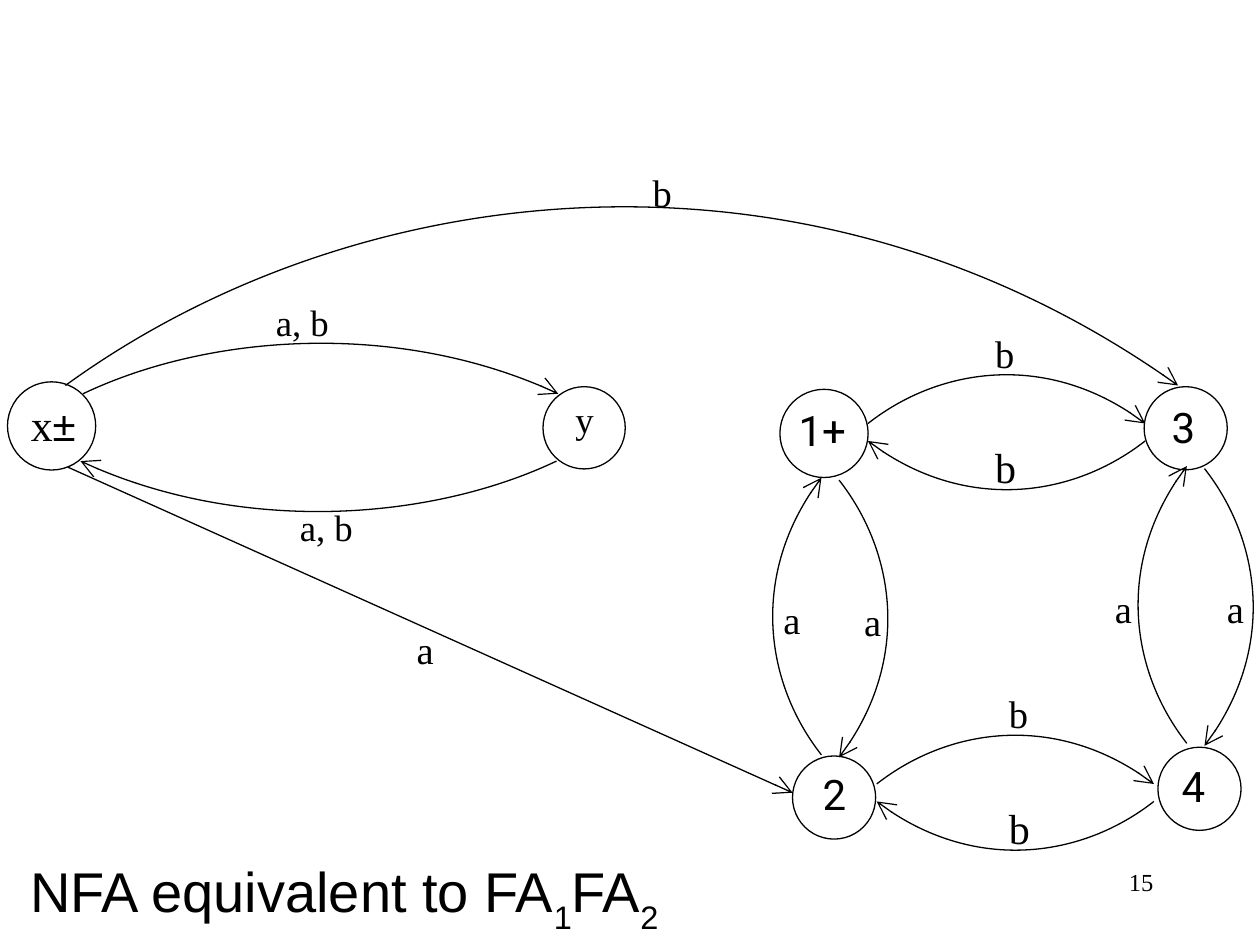
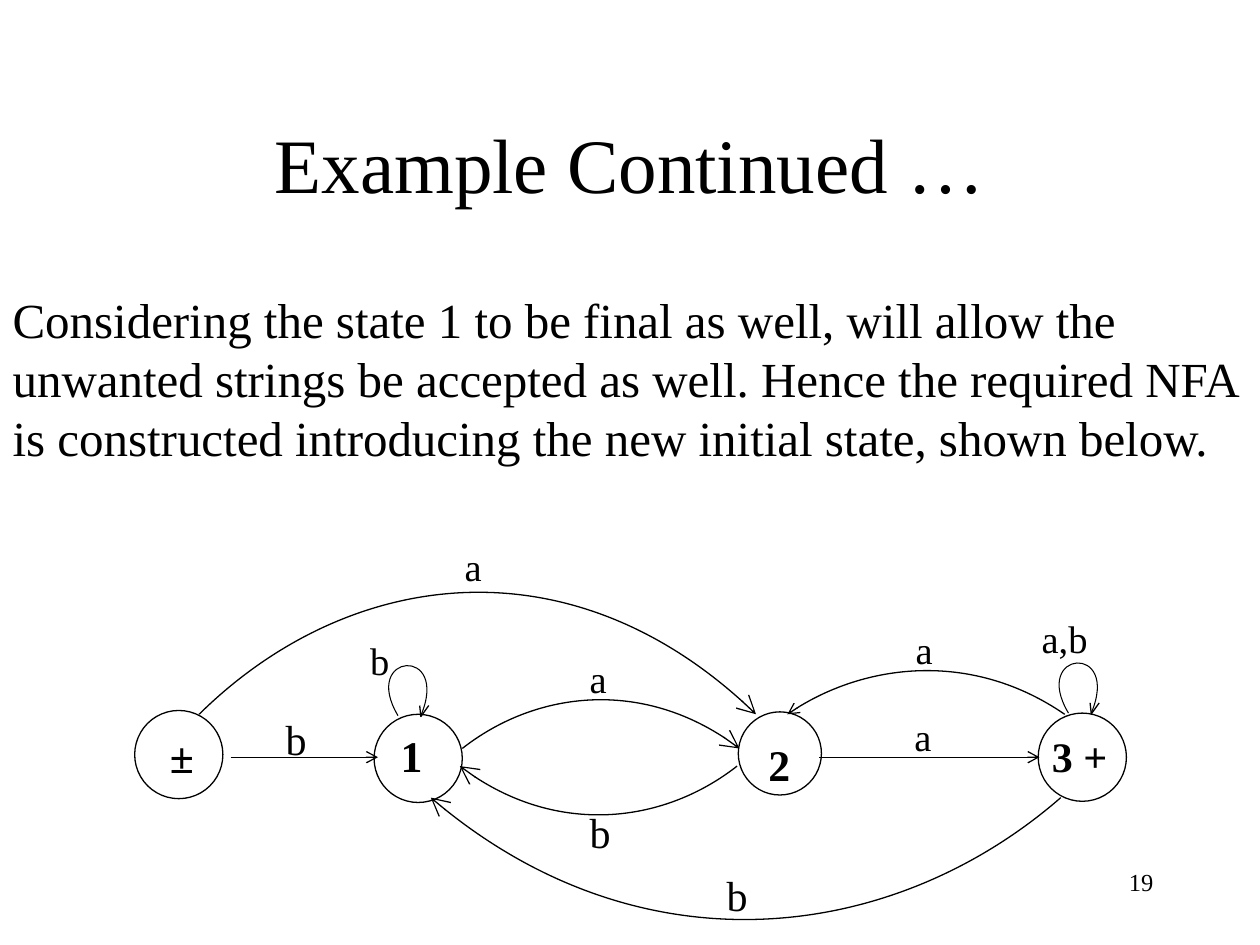
from dataclasses import dataclass
from math import hypot

from lxml.etree import SubElement
from pptx import Presentation
from pptx.dml.color import RGBColor
from pptx.enum.shapes import MSO_CONNECTOR, MSO_SHAPE
from pptx.enum.text import MSO_ANCHOR, MSO_AUTO_SIZE, PP_ALIGN
from pptx.oxml.ns import qn
from pptx.util import Pt


@dataclass(frozen=True)
class Theme:
    ink: RGBColor = RGBColor(0, 0, 0)
    paper: RGBColor = RGBColor(255, 255, 255)
    serif: str = "Times New Roman"
    sans: str = "Arial"
    state_sans: str = "Roboto"
    title: int = 44
    caption: int = 32
    body: int = 28
    state: int = 25
    state_small: int = 24
    label_large: int = 24
    label: int = 22
    label_small: int = 21
    number: int = 14
    stroke: float = 0.75
    thin: float = 0.6


THEME = Theme()
EDGE_BULGE = 40.3   # height of the arcs between neighbouring states
EDGE = 158.4        # their length


def add_span(para, text, *, size, font=THEME.serif, bold=False, baseline=None):
    """Add text to a paragraph with its format."""
    span = para.add_run()
    span.text = text
    span.font.size = Pt(size)
    span.font.name = font
    span.font.bold = bold
    span.font.color.rgb = THEME.ink
    if baseline is not None:
        span._r.get_or_add_rPr().set("baseline", str(baseline * 1000))


class Diagram:
    """Holds the theme and the current page; draws each kind of element."""

    def __init__(self, deck, theme):
        self.deck, self.theme, self.page = deck, theme, None

    def new_page(self, layout_name, number):
        layout = self.deck.slide_layouts.get_by_name(layout_name)
        self.page = self.deck.slides.add_slide(layout)
        self.text(516.2, 491.8, 150, 36, str(number), size=self.theme.number,
                  align=PP_ALIGN.RIGHT)

    # Text
    def text(self, left, top, width, height, text, align=PP_ALIGN.LEFT, **style):
        box = self.page.shapes.add_textbox(Pt(left), Pt(top), Pt(width), Pt(height))
        box.text_frame.word_wrap = True
        para = box.text_frame.paragraphs[0]
        para.alignment = align
        add_span(para, text, **style)

    def placeholder(self, index, left, top, width, height, spans,
                    align=PP_ALIGN.LEFT, anchor=MSO_ANCHOR.TOP, before=0):
        box = self.page.placeholders[index]
        box.left, box.top, box.width, box.height = map(Pt, (left, top, width, height))
        frame = box.text_frame
        frame.auto_size = MSO_AUTO_SIZE.NONE
        frame.word_wrap = True
        frame.vertical_anchor = anchor
        para = frame.paragraphs[0]
        para.alignment = align
        para.space_before = Pt(before)
        properties = para._p.get_or_add_pPr()
        properties.set("marL", "0")
        properties.set("indent", "0")
        SubElement(properties, qn("a:buNone"))
        for text, style in spans:
            add_span(para, text, **style)

    def label(self, left, top, text, size=None):
        width, height = (30, 29) if len(text) == 1 else (70, 48)
        self.text(left, top, width, height, text, size=size or self.theme.label)

    # States
    def state(self, left, top, diameter, label_left=None, label_top=None,
              text=None, **style):
        circle = self.page.shapes.add_shape(
            MSO_SHAPE.OVAL, Pt(left), Pt(top), Pt(diameter), Pt(diameter))
        circle.shadow.inherit = False
        circle.fill.solid()
        circle.fill.fore_color.rgb = self.theme.paper
        self.outline(circle)
        if text:
            self.text(label_left, label_top, 56, 32, text, **style)

    # Lines and arrows
    def outline(self, shape, width=None, end=None, head_size="lg"):
        shape.line.color.rgb = self.theme.ink
        shape.line.width = Pt(width or self.theme.stroke)
        if end:
            line = shape._element.spPr.find(qn("a:ln"))
            SubElement(line, qn(f"a:{end}End"), type="arrow", w=head_size, len=head_size)

    def arrow(self, start, end, head_size="lg"):
        line = self.page.shapes.add_connector(
            MSO_CONNECTOR.STRAIGHT, *map(Pt, start + end))
        self.outline(line, end="tail", head_size=head_size)
        SubElement(line._element.spPr, qn("a:effectLst"))

    def polyline(self, points):
        (x, y), *others = [(Pt(x), Pt(y)) for x, y in points]
        builder = self.page.shapes.build_freeform(x, y, scale=1.0)
        builder.add_line_segments(others, close=False)
        shape = builder.convert_to_shape()
        shape.shadow.inherit = False
        shape.fill.background()
        return shape

    def curve(self, points):
        """Cubic curve through start, two control points and end."""
        shape = self.polyline(points)
        outline = shape._element.find(".//" + qn("a:path"))
        segments = outline.findall(qn("a:lnTo"))
        bezier = SubElement(outline, qn("a:cubicBezTo"))
        for segment in segments:
            bezier.append(segment[0])
            outline.remove(segment)
        return shape

    def arc(self, start, end, bulge=EDGE_BULGE, arrow_end="tail", head_size="lg"):
        """Arc that bulges to the left of its direction."""
        (x, y), dx, dy = start, end[0] - start[0], end[1] - start[1]
        length = hypot(dx, dy)

        def control(along, height):
            return (x + along * dx + height * dy / length,
                    y + along * dy - height * dx / length)

        shape = self.curve([start, control(0.26, 0.8 * bulge),
                            control(0.67, bulge), end])
        self.outline(shape, end=arrow_end, head_size=head_size)

    def self_loop(self, x, y):
        loop = self.curve([(x, y), (x - 21.6, y - 36), (x + 30, y - 40.3), (x + 13, y)])
        self.outline(loop, self.theme.thin)
        tip = x + 13
        barbs = self.polyline([(tip - 0.7, y - 5.8), (tip, y + 0.5), (tip + 4.5, y - 5.8)])
        self.outline(barbs)


def draw_product_nfa(diagram):
    theme = diagram.theme
    diagram.new_page("Title Only", 15)
    caption = dict(size=theme.caption, font=theme.sans)
    subscript = dict(caption, baseline=-30)
    diagram.placeholder(0, 10, 486, 666, 42, [
        ("NFA equivalent to FA", caption), ("1", subscript),
        ("FA", caption), ("2", subscript)])

    # States
    diagram.state(4.3, 218.2, 50.4)
    box = diagram.page.shapes.add_textbox(Pt(10.5), Pt(224), Pt(60), Pt(36))
    box.text_frame.word_wrap = True
    para = box.text_frame.paragraphs[0]
    add_span(para, "x", size=theme.state)
    add_span(para, "±", size=theme.state_small, font=theme.sans)
    diagram.state(310.3, 221, 47, 321.8, 223, "y", size=theme.label_small)
    for state in [(445.7, 222.5, 50.4, 449.3, 227.5, "1+"),
                  (653.8, 221, 47.5, 662.4, 226, "3"),
                  (452.9, 432, 47.5, 463, 435.6, "2"),
                  (661.7, 427, 47.5, 668.2, 431.3, "4")]:
        diagram.state(*state, size=theme.state_small, font=theme.state_sans)

    # Transitions inside the first automaton, and into the second
    diagram.arc((47.5, 225), (319, 225), 42)
    diagram.arc((318, 263.5), (46, 263.5), 42)
    diagram.arc((37.4, 220.3), (673.2, 220.3), 150)
    diagram.arrow((38.9, 267), (452.9, 453))

    # Paired transitions of the second automaton
    for x, y in [(496, 242), (501, 448)]:
        diagram.arc((x, y), (x + EDGE, y))
        diagram.arc((x + EDGE, y + 10), (x, y + 10))
    for x, y in [(469.4, 273), (678.2, 266.4)]:
        diagram.arc((x, y + EDGE), (x, y))
        diagram.arc((x + 10.1, y + 1.4), (x + 10.1, y + 1.4 + EDGE))

    # Transition labels
    for left, top in [(150.5, 167.8), (164.2, 285)]:
        diagram.label(left, top, "a, b", theme.label_small)
    for left, top in [(561.6, 185), (569.5, 391)]:
        diagram.label(left, top, "b")
        diagram.label(left, top + 64, "b", theme.label_large)
    for left, top in [(440.6, 337), (486.7, 338.4), (630, 330.5),
                      (694, 330.5), (231, 354.2)]:
        diagram.label(left, top, "a")
    diagram.label(365.8, 92.9, "b")


def draw_new_initial_state(diagram):
    theme = diagram.theme
    diagram.new_page("Title and Content", 19)
    diagram.placeholder(0, 54, 48.2, 612, 90,
                        [("Example Continued …", dict(size=theme.title))],
                        align=PP_ALIGN.CENTER, anchor=MSO_ANCHOR.MIDDLE)
    diagram.placeholder(1, 0, 162, 720, 108, [(
        "Considering the state 1 to be final as well, will allow the unwanted "
        "strings be accepted as well. Hence the required NFA is constructed "
        "introducing the new initial state, shown below.",
        dict(size=theme.body))], before=7)

    # States
    for *state, size in [(77, 406, 50.4, 90, 413.3, "±", theme.state),
                         (213.8, 408.2, 50.4, 221.8, 412.6, "1", theme.state),
                         (421.9, 406.8, 47.5, 432, 418.3, "2", theme.state),
                         (593.3, 407.5, 50.4, 594, 414, "3 +", theme.state_small)]:
        diagram.state(*state, size=size, bold=True)

    # Transitions
    diagram.arc((264.2, 427.7), (264.2 + EDGE, 427.7))
    diagram.arc((262.8 + EDGE, 437.8), (262.8, 437.8))
    diagram.arc((113.8, 408.2), (432, 408.2), 102)
    diagram.arc((606.2, 455.8), (246.2, 455.8), 102)
    diagram.arc((450, 408.2), (450 + EDGE, 408.2), 36, "head", "med")
    for left, right in [(131.8, 216), (468, 594)]:
        diagram.arrow((left, 432.7), (right, 432.7), "med")
    diagram.self_loop(227.5, 409)
    diagram.self_loop(610.6, 407.5)

    # Transition labels
    diagram.label(588.2, 347.8, "a,b")
    diagram.label(204.5, 360.7, "b")
    for left, top in [(258.5, 306.7), (329.8, 370.8), (515.5, 404), (516.2, 354.2)]:
        diagram.label(left, top, "a")
    for left, top in [(156.2, 404), (329.8, 457.2), (408.2, 493.2)]:
        diagram.label(left, top, "b", theme.label_large)


def main():
    deck = Presentation()
    deck.slide_width, deck.slide_height = Pt(720), Pt(540)
    diagram = Diagram(deck, THEME)
    draw_product_nfa(diagram)
    draw_new_initial_state(diagram)
    deck.save("out.pptx")


if __name__ == "__main__":
    main()
